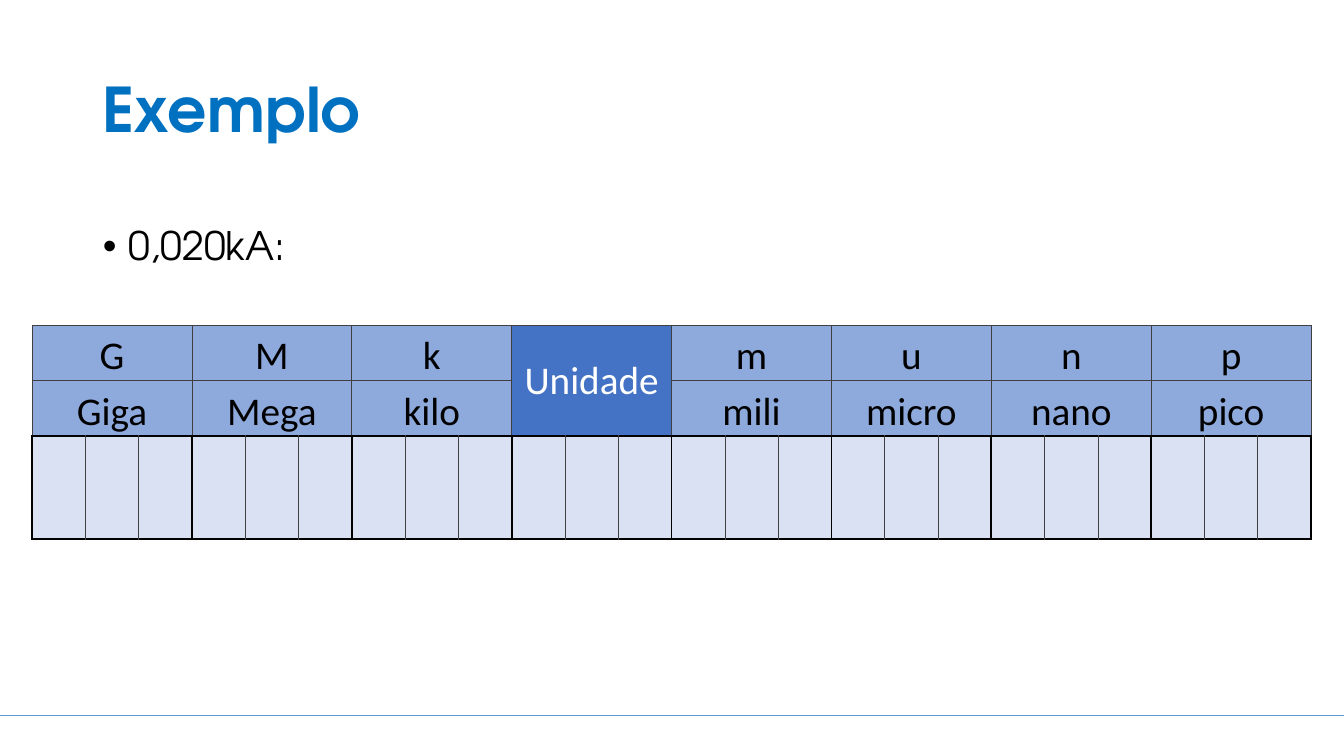
from lxml import etree
from pptx import Presentation, util as u
from pptx.dml.color import RGBColor
from pptx.enum import shapes, text
from pptx.oxml.ns import qn

SCALE = 914400 / 100.8
BLUE = RGBColor(0x00, 0x70, 0xC0)
BLACK = RGBColor(0x00, 0x00, 0x00)
WHITE = RGBColor(0xFF, 0xFF, 0xFF)
GREY = RGBColor(0x3F, 0x3F, 0x3F)
RULE = RGBColor(0x5B, 0x9B, 0xD5)
HEAD = RGBColor(0x8E, 0xA9, 0xDB)
UNIT = RGBColor(0x44, 0x72, 0xC4)
PALE = RGBColor(0xD9, 0xE1, 0xF2)
ADVENTOR = "TeX Gyre Adventor"
THIN = (GREY, 0.5)
THICK = (BLACK, 1.5)
UNITS = [("G", "Giga"), ("M", "Mega"), ("k", "kilo"), ("Unidade", None),
         ("m", "mili"), ("u", "micro"), ("n", "nano"), ("p", "pico")]
DIGITS = 3
ROWS = [55, 56, 103]


def px(n):
    return u.Emu(round(n * SCALE))


def style(font, color, **values):
    for name, value in values.items():
        setattr(font, name, value)
    font.color.rgb = color


def add_text(slide, box, words, color, anchor, **values):
    frame = slide.shapes.add_textbox(*map(px, box)).text_frame
    frame.word_wrap = True
    frame.vertical_anchor = anchor
    para = frame.paragraphs[0]
    para.line_spacing = 0.9
    run = para.add_run()
    run.text = words
    style(run.font, color, **values)
    return para


def add_bullet(para):
    props = para._p.get_or_add_pPr()
    props.set("marL", str(u.Inches(0.25)))
    props.set("indent", str(-u.Inches(0.25)))
    etree.SubElement(props, qn("a:buFont")).set("typeface", "Arial")
    etree.SubElement(props, qn("a:buChar")).set("char", "•")


def add_rule(slide, y):
    line = slide.shapes.add_connector(
        shapes.MSO_CONNECTOR.STRAIGHT, 0, px(y), px(1344), px(y))
    line.line.color.rgb = RULE
    line.line.width = u.Pt(0.5)
    etree.SubElement(line._element.spPr, qn("a:effectLst"))


def set_edges(cell, *edges):
    """Draw the left, right, top and bottom borders of a cell."""
    props = cell._tc.get_or_add_tcPr()
    for i, (side, (color, width)) in enumerate(zip("LRTB", edges)):
        line = etree.Element(qn(f"a:ln{side}"), w=str(u.Pt(width)))
        fill = etree.SubElement(line, qn("a:solidFill"))
        etree.SubElement(fill, qn("a:srgbClr")).set("val", str(color))
        props.insert(i, line)


def paint(cell, color):
    cell.fill.solid()
    cell.fill.fore_color.rgb = color


def write(cell, words, color, anchor):
    values = dict(margin_left=px(1), margin_right=px(1), margin_top=px(1),
                  margin_bottom=0, vertical_anchor=anchor)
    for name, value in values.items():
        setattr(cell, name, value)
    para = cell.text_frame.paragraphs[0]
    para.alignment = text.PP_ALIGN.CENTER
    run = para.add_run()
    run.text = words
    style(run.font, color, name="Calibri", size=u.Pt(28))


def add_grid(slide):
    count = len(UNITS) * DIGITS
    table = slide.shapes.add_table(
        len(ROWS), count, px(32), px(325), px(1280), px(sum(ROWS))).table
    table.first_row = table.horz_banding = False
    for row, height in zip(table.rows, ROWS):
        row.height = px(height)
    for col in table.columns:
        col.width = px(1280 / count)

    for c in range(count):
        fill = HEAD if UNITS[c // DIGITS][1] else UNIT
        for r, color in enumerate((fill, fill, PALE)):
            cell = table.cell(r, c)
            paint(cell, color)
            if r < 2:
                set_edges(cell, THIN, THIN, THIN, THICK if r else THIN)
            else:
                left = THIN if c % DIGITS else THICK
                right = THIN if (c + 1) % DIGITS else THICK
                set_edges(cell, left, right, THICK, THICK)

    for i, (sign, name) in enumerate(UNITS):
        first = i * DIGITS
        last = first + DIGITS - 1
        if name is None:
            cell = table.cell(0, first)
            cell.merge(table.cell(1, last))
            write(cell, sign, WHITE, text.MSO_ANCHOR.MIDDLE)
            continue
        for r, words in enumerate((sign, name)):
            cell = table.cell(r, first)
            cell.merge(table.cell(r, last))
            write(cell, words, BLACK, text.MSO_ANCHOR.BOTTOM)


def main():
    deck = Presentation()
    deck.slide_width, deck.slide_height = px(1344), px(756)
    slide = deck.slides.add_slide(deck.slide_layouts[6])
    add_rule(slide, 715)
    add_text(slide, (93, 40, 1159, 146), "Exemplo", BLUE,
             text.MSO_ANCHOR.MIDDLE, name=ADVENTOR, size=u.Pt(44), bold=True)
    item = add_text(slide, (93, 222, 1159, 451), "0,020kA:", BLACK,
                    text.MSO_ANCHOR.TOP, name=ADVENTOR, size=u.Pt(28))
    add_bullet(item)
    add_grid(slide)
    deck.save("out.pptx")


if __name__ == "__main__":
    main()
